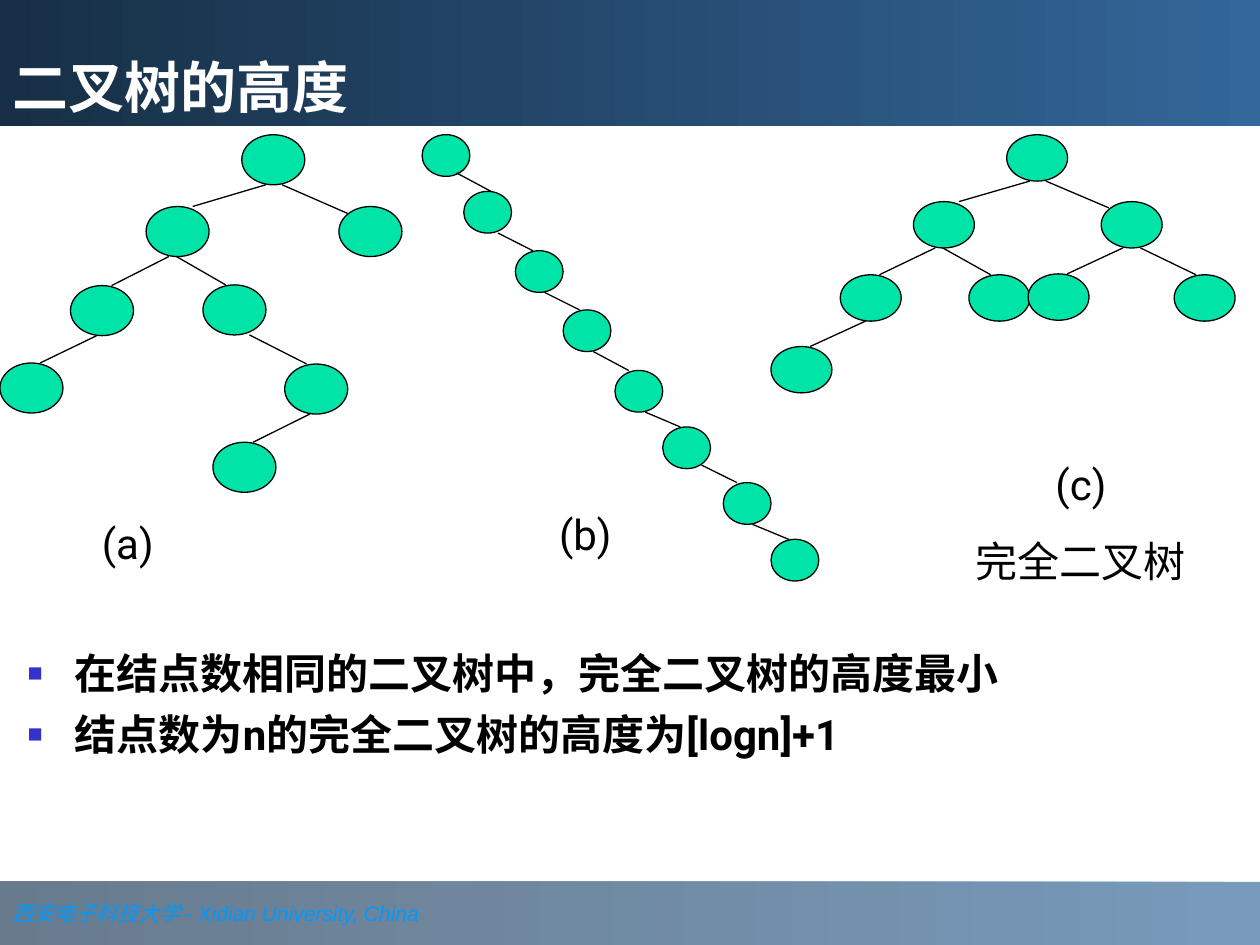
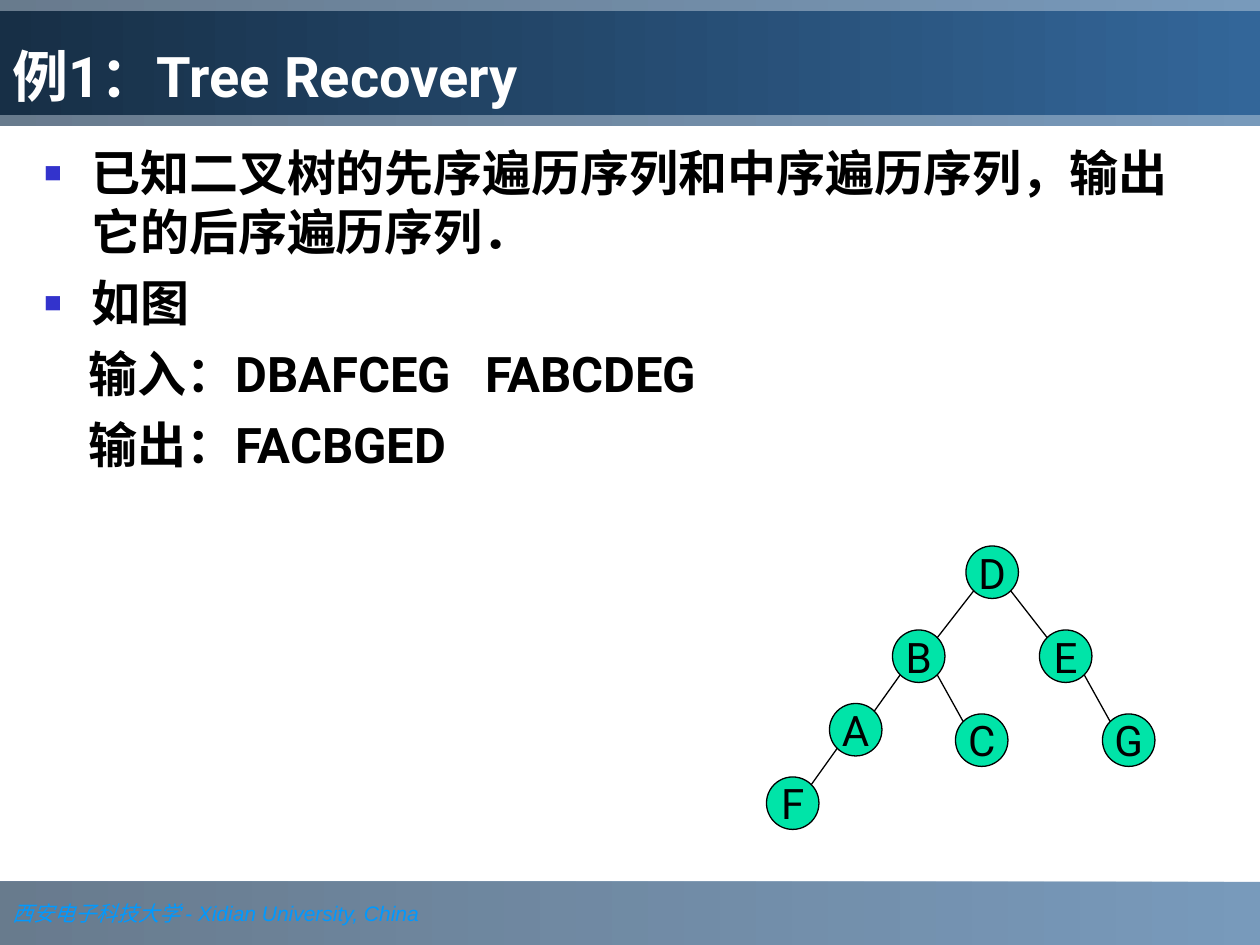
from dataclasses import dataclass

from lxml.etree import SubElement
from pptx import Presentation
from pptx.dml.color import RGBColor
from pptx.enum.shapes import MSO_CONNECTOR, MSO_SHAPE
from pptx.enum.text import MSO_ANCHOR, MSO_AUTO_SIZE, PP_ALIGN
from pptx.oxml.ns import qn
from pptx.util import Pt


@dataclass(frozen=True)
class Theme:
    band_light: str = "336699"
    band_dark: str = "1B3753"
    title_dark: str = "172F46"
    white: str = "FFFFFF"
    ink: str = "000000"
    footer: str = "0099FF"
    bullet: str = "3333CC"
    node: str = "00E4A8"
    font: str = "Roboto"
    footer_size: float = 12
    title_size: float = 32
    text_size: float = 24
    example_size: float = 28
    outline: float = 0.75


@dataclass(frozen=True)
class Node:
    left: float
    top: float
    parent: int = -1
    leave: float = 0
    enter: float = 0
    lift: float = 0
    dip: float = 0
    text: str = ""


THEME = Theme()
WIDTH, HEIGHT = 720, 540
BAND_HEIGHT, FOOTER_HEIGHT = 72, 36

SPREAD_TREE = [
    Node(138.2, 77),
    Node(83.5, 118, 0, -4.3, 8.6),
    Node(193.7, 118, 0, 5, -13, dip=4),
    Node(40.3, 163.2, 1, -5, 5.5),
    Node(116, 162.8, 1, -0.7, -5),
    Node(0, 207.4, 3, -3, 5),
    Node(162.7, 208, 4, 8.6, -5.5),
    Node(121.7, 252.7, 6, -3.6, 5),
]
CHAIN_TREE = [
    Node(241.2, 77),
    Node(265, 109.4, 0, 6, 2, lift=2),
    Node(294.5, 143.3, 1, 6, -3.6),
    Node(321.8, 177.1, 2, 3, -4.3),
    Node(351.4, 211.7, 3, 3.6, -5.8),
    Node(378.7, 244, 4, 3.6, -3.6),
    Node(413.3, 275.8, 5, 8.6, -5.8, lift=2),
    Node(440.6, 308.2, 6, 3, -3.6),
]
COMPLETE_TREE = [
    Node(575.3, 77),
    Node(522, 115.2, 0, -4.3, 8.6),
    Node(629.3, 115.2, 0, 5, -13, dip=3.6),
    Node(480.2, 157, 1, -5, 5),
    Node(553.7, 157, 1, -0.7, -5),
    Node(587.5, 156.5, 2, -5, 5),
    Node(671, 157, 2, 5, -5),
    Node(440.6, 198, 3, -3, 5),
]
LETTERS = [
    ("D", 552, 312, -1),
    ("B", 510, 360, 0),
    ("E", 594, 360, 0),
    ("A", 474, 402, 1),
    ("C", 546, 408, 1),
    ("G", 630, 408, 2),
    ("F", 438, 444, 3),
]


def color(value):
    return RGBColor.from_string(value)


def write(para, text, size=THEME.text_size, ink=THEME.ink, font=THEME.font,
          bold=False, italic=False):
    span = para.add_run()
    span.text = text
    span.font.size = Pt(size)
    span.font.name = font
    span.font.bold = bold
    span.font.italic = italic
    span.font.color.rgb = color(ink)


def prepare_frame(box, anchor=MSO_ANCHOR.TOP, wrap=True):
    frame = box.text_frame
    frame.auto_size = MSO_AUTO_SIZE.NONE
    frame.word_wrap = wrap
    frame.vertical_anchor = anchor
    frame.margin_left = frame.margin_right = Pt(7.2)
    frame.margin_top = frame.margin_bottom = Pt(3.6)
    return frame


def place(box, left, top, width, height):
    box.left, box.top, box.width, box.height = map(Pt, (left, top, width, height))


def next_para(frame, index, space):
    if index == 0:
        para = frame.paragraphs[0]
        para.space_before = Pt(0)
    else:
        para = frame.add_paragraph()
        para.space_before = Pt(space)
    return para


def fill_gradient(box, dark, opacity=None):
    box.fill.gradient()
    box.fill.gradient_angle = 180
    for stop, value in zip(box.fill.gradient_stops, (THEME.band_light, dark)):
        stop.color.rgb = color(value)
    if opacity:
        for stop_color in box.element.spPr.iter(qn("a:srgbClr")):
            SubElement(stop_color, qn("a:alpha"), val=str(opacity * 1000))


def add_shape(shapes, kind, left, top, width, height):
    shape = shapes.add_shape(kind, *map(Pt, (left, top, width, height)))
    shape.shadow.inherit = False
    return shape


def add_master_bands(deck, page):
    tree = deck.slide_master.element.cSld.spTree
    spots = ((HEIGHT - FOOTER_HEIGHT, FOOTER_HEIGHT), (0, BAND_HEIGHT))
    for index, (top, height) in enumerate(spots):
        band = add_shape(page.shapes, MSO_SHAPE.RECTANGLE, 0, top, WIDTH, height)
        fill_gradient(band, THEME.band_dark, opacity=66)
        band.line.fill.background()
        if index == 0:
            para = prepare_frame(band, MSO_ANCHOR.MIDDLE, wrap=False).paragraphs[0]
            para.alignment = PP_ALIGN.LEFT
            for text, font in (("西安电子科技大学 ", "Times New Roman"),
                               ("- Xidian University, China", "Arial")):
                write(para, text, size=THEME.footer_size, ink=THEME.footer,
                      font=font, italic=True)
        band.element.nvSpPr.cNvPr.set("id", str(20 + index))
        tree.insert(2 + index, band.element)


def set_title(page, text, top, height):
    title = page.shapes.title
    place(title, 0, top, WIDTH, height)
    fill_gradient(title, THEME.title_dark)
    para = prepare_frame(title, MSO_ANCHOR.BOTTOM).paragraphs[0]
    para.alignment = PP_ALIGN.LEFT
    write(para, text, size=THEME.title_size, ink=THEME.white, bold=True)


def add_bullet(para):
    props = para._p.get_or_add_pPr()
    props.set("marL", str(Pt(27)))
    props.set("indent", str(Pt(-27)))
    SubElement(SubElement(props, qn("a:buClr")), qn("a:srgbClr"), val=THEME.bullet)
    SubElement(props, qn("a:buSzPct"), val="60000")
    SubElement(props, qn("a:buFont"), typeface="Arial")
    SubElement(props, qn("a:buChar"), char="■")


def add_plain_indent(para, tab):
    props = para._p.get_or_add_pPr()
    props.set("marL", "0")
    props.set("indent", str(Pt(25.5)))
    SubElement(props, qn("a:buNone"))
    SubElement(SubElement(props, qn("a:tabLst")), qn("a:tab"),
               pos=str(Pt(tab)), algn="l")


def set_body(page, bounds, bullets, size, space, plain=()):
    body = page.placeholders[1]
    place(body, *bounds)
    frame = prepare_frame(body)
    for index, text in enumerate([*bullets, *plain]):
        para = next_para(frame, index, space)
        para.alignment = PP_ALIGN.LEFT
        if index < len(bullets):
            add_bullet(para)
        else:
            add_plain_indent(para, tab=253)
        write(para, text, size=size, bold=True)


def add_caption(page, left, top, width, height, lines):
    box = page.shapes.add_textbox(*map(Pt, (left, top, width, height)))
    frame = prepare_frame(box)
    for index, text in enumerate(lines):
        para = next_para(frame, index, 15)
        para.alignment = PP_ALIGN.CENTER
        write(para, text)


def add_edge(shapes, start, end):
    edge = shapes.add_connector(MSO_CONNECTOR.STRAIGHT, *map(Pt, start + end))
    edge.line.color.rgb = color(THEME.ink)
    edge.line.width = Pt(THEME.outline)
    SubElement(edge.element.spPr, qn("a:effectLst"))


def add_tree(page, nodes, width, height):
    shapes = page.shapes.add_group_shape().shapes
    for node in nodes:
        circle = add_shape(shapes, MSO_SHAPE.OVAL, node.left, node.top, width, height)
        circle.fill.solid()
        circle.fill.fore_color.rgb = color(THEME.node)
        circle.line.color.rgb = color(THEME.ink)
        circle.line.width = Pt(THEME.outline)
        if node.text:
            para = prepare_frame(circle, MSO_ANCHOR.MIDDLE, wrap=False).paragraphs[0]
            para.alignment = PP_ALIGN.CENTER
            write(para, node.text)
        if node.parent >= 0:
            parent = nodes[node.parent]
            add_edge(shapes,
                     (parent.left + width / 2 + node.leave,
                      parent.top + height - node.lift),
                     (node.left + width / 2 + node.enter, node.top + node.dip))


def lettered_nodes(diameter):
    reach = diameter * 0.35
    inset = diameter / 2 - reach
    nodes = []
    for text, left, top, parent in LETTERS:
        side = reach if parent >= 0 and left > LETTERS[parent][1] else -reach
        nodes.append(Node(left, top, parent, side, -side, inset, inset, text))
    return nodes


def build_height_page(page):
    set_title(page, "二叉树的高度", 0, BAND_HEIGHT)
    add_tree(page, COMPLETE_TREE, 34.8, 26.5)
    add_tree(page, SPREAD_TREE, 36, 28.6)
    add_tree(page, CHAIN_TREE, 27.3, 23.8)
    add_caption(page, 19.4, 292.3, 107.3, 36, ["(a)"])
    add_caption(page, 280.8, 287.3, 107.3, 36, ["(b)"])
    add_caption(page, 541.4, 258.5, 152.6, 80, ["(c)", "完全二叉树"])
    set_body(page, (8.6, 366.5, 702, 90.7),
             ["在结点数相同的二叉树中，完全二叉树的高度最小",
              "结点数为n的完全二叉树的高度为[logn]+1"],
             size=THEME.text_size, space=6)


def build_recovery_page(page):
    set_title(page, "例1：Tree Recovery", 6, 60)
    set_body(page, (18, 78, 678, 420),
             ["已知二叉树的先序遍历序列和中序遍历序列，输出它的后序遍历序列．", "如图"],
             size=THEME.example_size, space=7,
             plain=["输入：DBAFCEG\tFABCDEG", "输出：FACBGED"])
    add_tree(page, lettered_nodes(30), 30, 30)


def main():
    deck = Presentation()
    deck.slide_width, deck.slide_height = Pt(WIDTH), Pt(HEIGHT)
    layout = deck.slide_layouts[1]
    pages = [deck.slides.add_slide(layout) for _ in range(2)]
    add_master_bands(deck, pages[0])
    build_height_page(pages[0])
    build_recovery_page(pages[1])
    deck.save("out.pptx")


if __name__ == "__main__":
    main()
